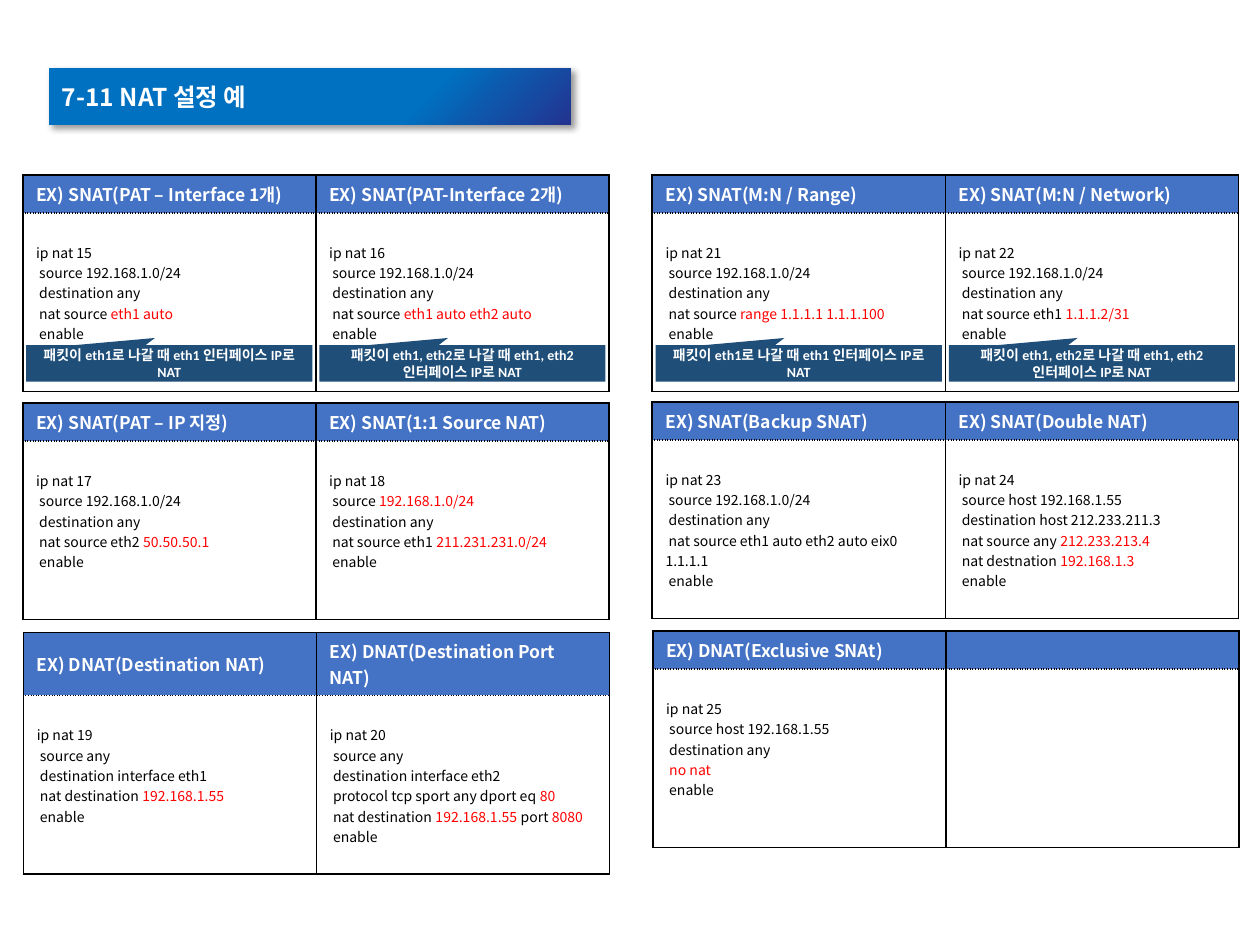
from lxml import etree
from pptx import Presentation
from pptx.dml.color import RGBColor
from pptx.enum.shapes import MSO_SHAPE
from pptx.enum.text import MSO_ANCHOR, MSO_AUTO_SIZE, PP_ALIGN
from pptx.oxml import parse_xml
from pptx.oxml.ns import nsdecls, qn
from pptx.util import Pt

CALLOUT = MSO_SHAPE.RECTANGULAR_CALLOUT
TOP, MIDDLE = MSO_ANCHOR.TOP, MSO_ANCHOR.MIDDLE
LEFT, CENTER = PP_ALIGN.LEFT, PP_ALIGN.CENTER
NO_FIT = MSO_AUTO_SIZE.NONE

WHITE = RGBColor(0xFF, 0xFF, 0xFF)
BLACK = RGBColor(0x00, 0x00, 0x00)
RED = RGBColor(0xFF, 0x00, 0x00)
HEADER_BLUE = RGBColor(0x44, 0x72, 0xC4)
CALLOUT_BLUE = RGBColor(0x1F, 0x4E, 0x79)
TITLE_BLUE = RGBColor(0x00, 0x70, 0xC0)
TITLE_INDIGO = RGBColor(0x23, 0x34, 0x90)

NOTO, CALIBRI = "Noto Sans CJK KR", "Calibri"
COL_W, HEADER_H, BODY_H = 167.5, 19.4, 102

ANY_SOURCE = "ip nat {}\n source 192.168.1.0/24\n destination any\n"
NOTES = ["패킷이 eth1로 나갈 때 eth1 인터페이스 IP로 NAT",
         "패킷이 eth1, eth2로 나갈 때 eth1, eth2 인터페이스 IP로 NAT"]

EXAMPLES = [
    (13, 100, NOTES, [
        ("EX) SNAT(PAT – Interface 1개)",
         ANY_SOURCE.format(15) + " nat source |eth1 auto|\n enable"),
        ("EX) SNAT(PAT-Interface 2개)",
         ANY_SOURCE.format(16) + " nat source |eth1 auto eth2 auto|\n enable")]),
    (13, 230.4, [], [
        ("EX) SNAT(PAT – IP 지정)",
         ANY_SOURCE.format(17) + " nat source eth2 |50.50.50.1|\n enable"),
        ("EX) SNAT(1:1 Source NAT)",
         "ip nat 18\n source |192.168.1.0/24|\n destination any\n"
         " nat source eth1 |211.231.231.0/24|\n enable")]),
    (13.4, 361.4, [], [
        ("EX) DNAT(Destination NAT)",
         "ip nat 19\n source any\n destination interface eth1\n"
         " nat destination |192.168.1.55|\n enable"),
        ("EX) DNAT(Destination Port NAT)",
         "ip nat 20\n source any\n destination interface eth2\n"
         " protocol tcp sport any dport eq |80|\n"
         " nat destination |192.168.1.55| port |8080|\n enable")]),
    (372.7, 100, NOTES, [
        ("EX) SNAT(M:N / Range)",
         ANY_SOURCE.format(21) + " nat source |range 1.1.1.1 1.1.1.100|\n enable"),
        ("EX) SNAT(M:N / Network)",
         ANY_SOURCE.format(22) + " nat source eth1 |1.1.1.2/31|\n enable")]),
    (372.7, 229.7, [], [
        ("EX) SNAT(Backup SNAT)",
         ANY_SOURCE.format(23) + " nat source eth1 auto eth2 auto eix0 1.1.1.1\n enable"),
        ("EX) SNAT(Double NAT)",
         "ip nat 24\n source host 192.168.1.55\n destination host 212.233.211.3\n"
         " nat source any |212.233.213.4|\n nat destnation |192.168.1.3|\n enable")]),
    (373, 360.7, [], [
        ("EX) DNAT(Exclusive SNAt)",
         "ip nat 25\n source host 192.168.1.55\n destination any\n |no nat|\n enable"),
        ("", "")]),
]


def write(tf, text, size=8, font=NOTO, color=BLACK, bold=False, align=LEFT):
    """Write lines as paragraphs; parts between bars are red."""
    for i, line in enumerate(text.split("\n")):
        p = tf.add_paragraph() if i else tf.paragraphs[0]
        p.alignment = align
        for j, part in enumerate(line.split("|")):
            if not part:
                continue
            r = p.add_run()
            r.text = part
            r.font.size, r.font.name, r.font.bold = Pt(size), font, bold
            r.font.color.rgb = RED if j % 2 else color
            ea = etree.SubElement(r.font._element, qn("a:ea"))
            ea.set("typeface", NOTO)
        if not line:
            p._p.get_or_add_endParaRPr().set("sz", str(size * 100))


def set_borders(cell, dotted):
    """Draw black one-point cell borders, with one dotted side."""
    tcPr = cell._tc.get_or_add_tcPr()
    for i, side in enumerate(("lnL", "lnR", "lnT", "lnB")):
        dash = "sysDot" if side == dotted else "solid"
        tcPr.insert(i, parse_xml(
            f'<a:{side} {nsdecls("a")} w="12700"><a:solidFill><a:srgbClr val="{BLACK}"/>'
            f'</a:solidFill><a:prstDash val="{dash}"/></a:{side}>'))


def add_title(s, text, x, y, w, h):
    """Format the title placeholder as a gradient banner."""
    sp = s.shapes.title
    sp.left, sp.top, sp.width, sp.height = Pt(x), Pt(y), Pt(w), Pt(h)
    sp._element.spPr.append(parse_xml(
        f'<a:prstGeom {nsdecls("a")} prst="round2SameRect"><a:avLst>'
        '<a:gd name="adj1" fmla="val 18800"/><a:gd name="adj2" fmla="val 0"/>'
        '</a:avLst></a:prstGeom>'))
    sp.fill.gradient()
    sp.fill.gradient_angle = 315
    stops = zip(sp.fill.gradient_stops, (0.7, 1), (TITLE_BLUE, TITLE_INDIGO))
    for stop, position, color in stops:
        stop.position, stop.color.rgb = position, color
    sp.line.fill.background()
    sp._element.spPr.append(parse_xml(
        f'<a:effectLst {nsdecls("a")}><a:outerShdw blurRad="{Pt(4)}" dist="{Pt(3)}" '
        f'dir="2700000" algn="tl" rotWithShape="0"><a:srgbClr val="{BLACK}">'
        '<a:alpha val="40000"/></a:srgbClr></a:outerShdw></a:effectLst>'))
    tf = sp.text_frame
    tf.auto_size, tf.word_wrap, tf.vertical_anchor = NO_FIT, True, MIDDLE
    tf.margin_left = tf.margin_right = Pt(7.2)
    tf.margin_top = tf.margin_bottom = Pt(1.4)
    write(tf, text, size=14, color=WHITE, bold=True)


def add_examples(s, examples, x, y):
    """Add a table with one headed column for each example."""
    frame = s.shapes.add_table(2, len(examples), Pt(x), Pt(y),
                               Pt(COL_W * len(examples)), Pt(HEADER_H + BODY_H))
    table = frame.table
    table.rows[0].height, table.rows[1].height = Pt(HEADER_H), Pt(BODY_H)
    for i, (heading, code) in enumerate(examples):
        table.columns[i].width = Pt(COL_W)
        head, body = table.cell(0, i), table.cell(1, i)
        for cell in (head, body):
            cell.margin_left = cell.margin_right = Pt(7.6)
            cell.margin_top = cell.margin_bottom = Pt(3.6)
        head.vertical_anchor = MIDDLE
        head.fill.solid()
        head.fill.fore_color.rgb = HEADER_BLUE
        set_borders(head, "lnB")
        write(head.text_frame, heading, size=10, color=WHITE, bold=True)
        body.vertical_anchor, body.margin_top = TOP, Pt(16.5)
        body.fill.background()
        set_borders(body, "lnT")
        write(body.text_frame, code)


def add_callout(s, text, x, y, w, h):
    """Add a callout that points up at the command above it."""
    sp = s.shapes.add_shape(CALLOUT, Pt(x), Pt(y), Pt(w), Pt(h))
    sp.adjustments[0], sp.adjustments[1] = -0.05, -0.7
    sp.shadow.inherit = False
    sp.fill.solid()
    sp.fill.fore_color.rgb = CALLOUT_BLUE
    sp.line.fill.background()
    tf = sp.text_frame
    tf.word_wrap, tf.vertical_anchor = True, MIDDLE
    write(tf, text, font=CALIBRI, color=WHITE, bold=True, align=CENTER)


def main():
    """Build and save the slide."""
    prs = Presentation()
    prs.slide_width, prs.slide_height = Pt(720), Pt(540)
    s = prs.slides.add_slide(prs.slide_layouts[5])
    add_title(s, "7-11 NAT 설정 예", 28.1, 38.9, 298, 32.5)
    for x, y, notes, examples in EXAMPLES:
        add_examples(s, examples, x, y)
        for i, note in enumerate(notes):
            add_callout(s, note, x + 2 + i * COL_W, y + 97.3, 163.5, 20.8)
    prs.save("out.pptx")


if __name__ == "__main__":
    main()
